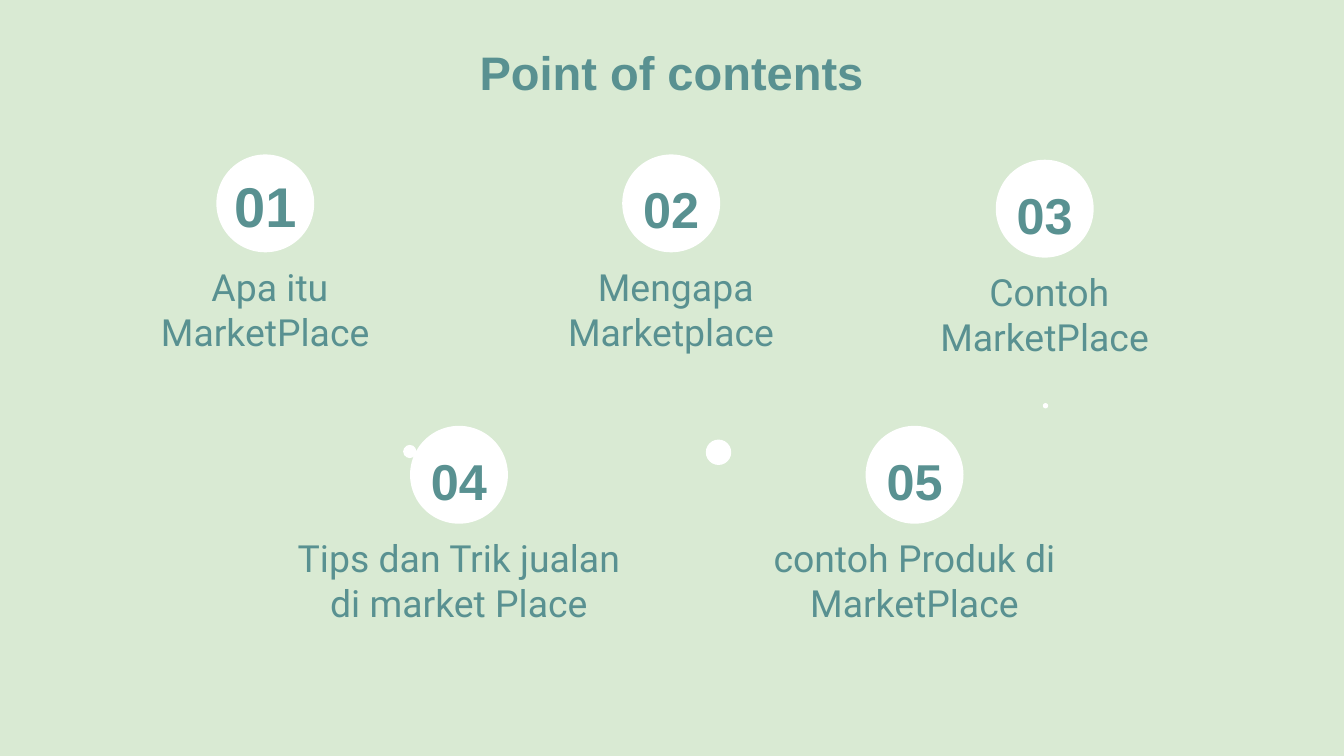
"""Build the table of contents slide with five numbered topics."""
from dataclasses import dataclass

from pptx import Presentation
from pptx.dml.color import RGBColor
from pptx.enum.shapes import MSO_SHAPE
from pptx.enum.text import MSO_ANCHOR, PP_ALIGN
from pptx.slide import Slide
from pptx.util import Cm, Pt

MINT = RGBColor(0xD9, 0xEA, 0xD3)
TEAL = RGBColor(0x59, 0x91, 0x91)
WHITE = RGBColor(0xFF, 0xFF, 0xFF)
DISC = 1.85
WIDE = 6.73
DROP = 1.82
PAD = Cm(0.25)


@dataclass(frozen=True)
class Topic:
    """A numbered disc with its label, placed in centimetres."""
    left: float
    top: float
    label: str
    size: float = 27
    tall: float = 2.57


@dataclass(frozen=True)
class Dot:
    """A small white circle, placed in centimetres."""
    left: float
    top: float
    size: float


TOPICS = [
    Topic(4.09, 2.92, " Apa itu MarketPlace", size=30),
    Topic(11.76, 2.92, " Mengapa Marketplace"),
    Topic(18.82, 3.02, " Contoh MarketPlace"),
    Topic(7.75, 8.05, "Tips dan Trik jualan di market Place", tall=3.28),
    Topic(16.36, 8.05, "contoh Produk di MarketPlace"),
]
DOTS = [Dot(7.62, 8.41, 0.25), Dot(19.71, 7.62, 0.1), Dot(13.34, 8.31, 0.48)]


def add_text(slide: Slide, text: str, *, left: float, top: float, width: float,
             height: float, size: float, font: str = "Arial", bold: bool = True,
             anchor: MSO_ANCHOR = MSO_ANCHOR.TOP) -> None:
    """Add a centred text box."""
    box = slide.shapes.add_textbox(Cm(left), Cm(top), Cm(width), Cm(height))
    frame = box.text_frame
    frame.word_wrap = True
    frame.vertical_anchor = anchor
    frame.margin_left = frame.margin_right = PAD
    frame.margin_top = frame.margin_bottom = PAD
    para = frame.paragraphs[0]
    para.alignment = PP_ALIGN.CENTER
    run = para.add_run()
    run.text = text
    run.font.name = font
    run.font.size = Pt(size)
    run.font.bold = bold
    run.font.color.rgb = TEAL


def add_dot(slide: Slide, dot: Dot) -> None:
    """Add a plain white circle."""
    shape = slide.shapes.add_shape(MSO_SHAPE.OVAL, Cm(dot.left), Cm(dot.top),
                                   Cm(dot.size), Cm(dot.size))
    shape.shadow.inherit = False
    shape.fill.solid()
    shape.fill.fore_color.rgb = WHITE
    shape.line.fill.background()


def add_topic(slide: Slide, rank: int, topic: Topic) -> None:
    """Add a disc, its number and the label centred below."""
    add_dot(slide, Dot(topic.left, topic.top, DISC))
    add_text(slide, f"{rank:02}", left=topic.left, top=topic.top, width=DISC,
             height=DISC, size=topic.size, anchor=MSO_ANCHOR.BOTTOM)
    add_text(slide, topic.label, left=topic.left + (DISC - WIDE) / 2,
             top=topic.top + DROP, width=WIDE, height=topic.tall, size=20,
             font="Roboto", bold=False)


def main() -> None:
    """Draw the slide and save it."""
    deck = Presentation()
    deck.slide_width, deck.slide_height = Cm(25.4), Cm(14.29)
    slide = deck.slides.add_slide(deck.slide_layouts[6])
    slide.background.fill.solid()
    slide.background.fill.fore_color.rgb = MINT
    add_text(slide, "Point of contents", left=0.86, top=0.58, width=23.67,
             height=1.6, size=25.2)
    for rank, topic in enumerate(TOPICS, 1):
        add_topic(slide, rank, topic)
    for dot in DOTS:
        add_dot(slide, dot)
    deck.save("out.pptx")


if __name__ == "__main__":
    main()
